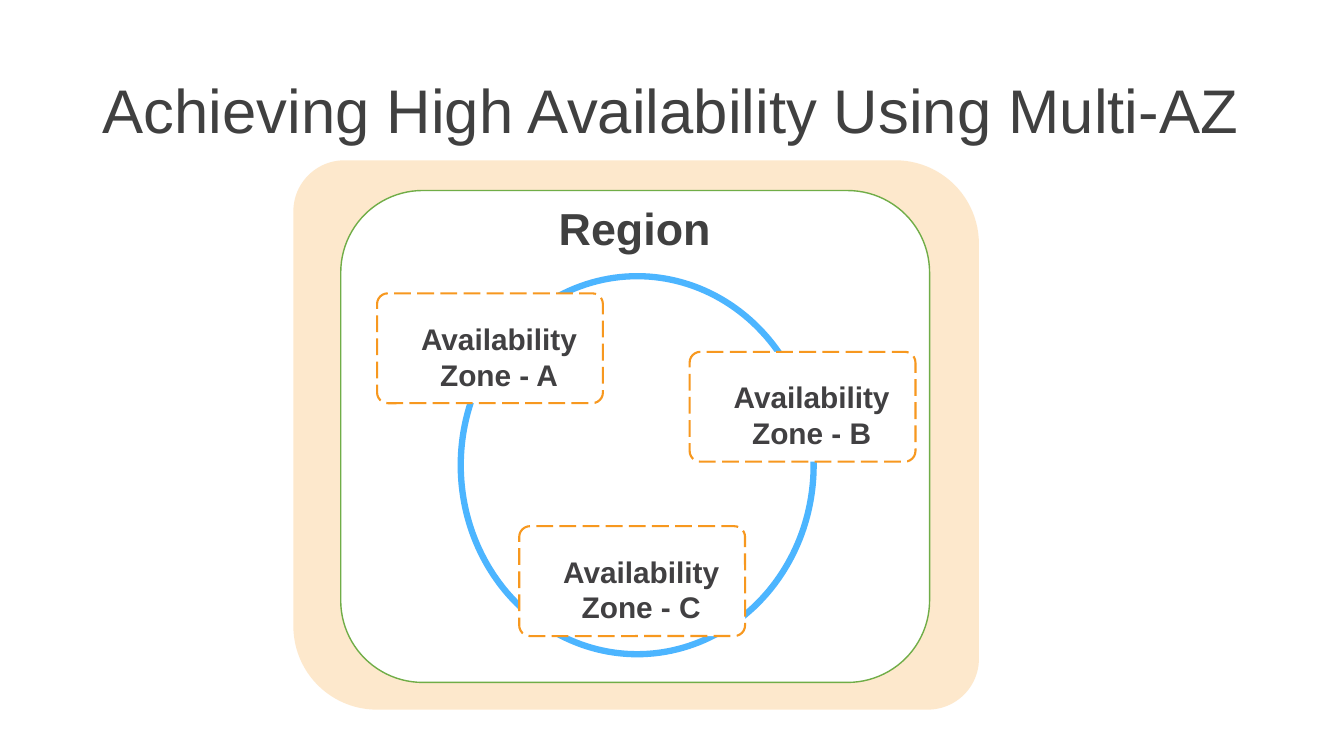
from lxml import etree
from pptx import Presentation
from pptx.dml.color import RGBColor
from pptx.enum.dml import MSO_LINE
from pptx.enum.shapes import MSO_SHAPE as SHAPE
from pptx.enum.text import MSO_ANCHOR as ANCHOR, PP_ALIGN as ALIGN
from pptx.oxml.ns import qn
from pptx.util import Inches, Pt


def rgb(value):
    return RGBColor.from_string(value)


class Deck:
    font = "Arial"
    title_color = "404040"
    zone_color = "414042"

    def __init__(self):
        self.prs = Presentation()
        self.prs.slide_width = Inches(13.33)
        self.prs.slide_height = Inches(7.5)
        self.s = self.prs.slides.add_slide(self.prs.slide_layouts[6])

    def shape(self, kind, box, fill=None, alpha=None, line=None, width=1, dash=None, adj=()):
        sp = self.s.shapes.add_shape(kind, *map(Inches, box))
        sp.shadow.inherit = False
        for i, value in enumerate(adj):
            sp.adjustments[i] = value
        if fill:
            sp.fill.solid()
            sp.fill.fore_color.rgb = rgb(fill)
        else:
            sp.fill.background()
        if alpha:
            clr = sp._element.spPr.find(qn("a:solidFill"))[0]
            etree.SubElement(clr, qn("a:alpha")).set("val", str(alpha * 1000))
        if line:
            sp.line.color.rgb = rgb(line)
            sp.line.width = Pt(width)
            if dash:
                sp.line.dash_style = dash
        else:
            sp.line.fill.background()
        return sp

    def text(self, text, box, size, color, bold=False, align=ALIGN.CENTER,
             anchor=ANCHOR.TOP, spacing=None):
        tf = self.s.shapes.add_textbox(*map(Inches, box)).text_frame
        tf.word_wrap = True
        tf.vertical_anchor = anchor
        p = tf.paragraphs[0]
        p.text = text
        p.alignment = align
        if spacing:
            p.line_spacing = spacing
        p.font.name = self.font
        p.font.size = Pt(size)
        p.font.bold = bold
        p.font.color.rgb = rgb(color)

    def zone(self, letter, left, top):
        self.shape(SHAPE.ROUNDED_RECTANGLE, (left, top, 2.24, 1.09), fill="FFFFFF",
                   line="F7981F", width=1.5, dash=MSO_LINE.LONG_DASH, adj=(0.098,))
        self.text(f"Availability Zone - {letter}", (left + 0.18, top + 0.22, 2.06, 0.85),
                  21.3, self.zone_color, bold=True)


def main():
    deck = Deck()
    deck.text("Achieving High Availability Using Multi-AZ", (0.92, 0.4, 11.5, 1.45), 44,
              deck.title_color, align=ALIGN.LEFT, anchor=ANCHOR.MIDDLE, spacing=0.9)
    deck.shape(SHAPE.ROUND_2_DIAG_RECTANGLE, (2.91, 1.59, 6.8, 5.45),
               fill="FAA634", alpha=25, adj=(0.093, 0.152))
    deck.shape(SHAPE.ROUNDED_RECTANGLE, (3.38, 1.89, 5.84, 4.88), fill="FFFFFF", line="70AD47")
    deck.shape(SHAPE.OVAL, (4.57, 2.74, 3.5, 3.75), line="4CB5FF", width=4.5)
    for letter, left, top in (("A", 3.74, 2.91), ("B", 6.84, 3.49), ("C", 5.15, 5.22)):
        deck.zone(letter, left, top)
    deck.text("Region", (3.75, 1.94, 5.09, 0.66), 32, deck.title_color, bold=True)
    deck.prs.save("out.pptx")


if __name__ == "__main__":
    main()
